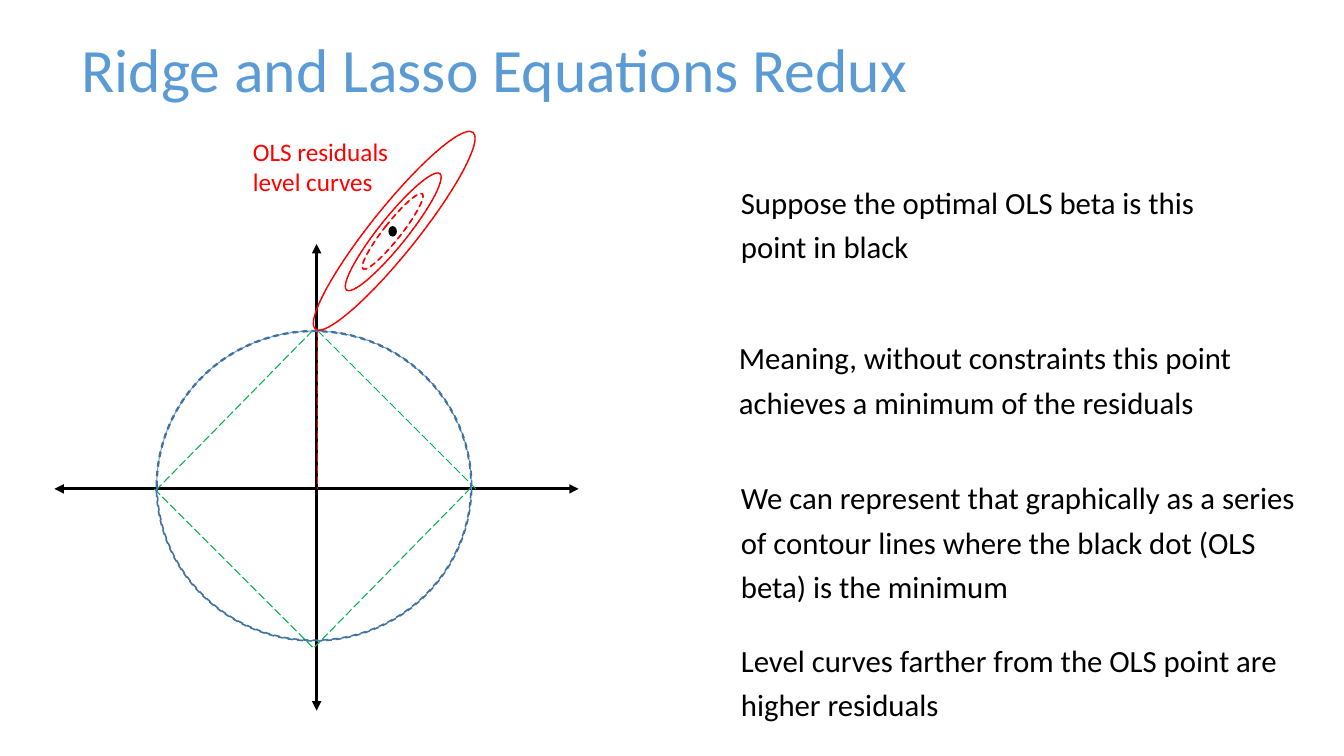
from lxml import etree
from pptx import Presentation
from pptx.dml.color import RGBColor
from pptx.enum.dml import MSO_LINE
from pptx.enum.shapes import MSO_CONNECTOR, MSO_SHAPE
from pptx.enum.text import MSO_ANCHOR
from pptx.oxml.ns import qn
from pptx.util import Pt

PX = 9144  # 100 px to the inch
STRAIGHT = MSO_CONNECTOR.STRAIGHT
DONUT, ELLIPSE = MSO_SHAPE.DONUT, MSO_SHAPE.OVAL
DASH, LONG_DASH = MSO_LINE.DASH, MSO_LINE.LONG_DASH
TOP, MIDDLE = MSO_ANCHOR.TOP, MSO_ANCHOR.MIDDLE
COLORS = {
    "title": "5B9BD5",
    "circle": "42719B",
    "lasso": "00B050",
    "residuals": "FF0000",
    "black": "000000",
}

deck = Presentation()
deck.slide_width, deck.slide_height = 1333 * PX, 750 * PX
page = deck.slides.add_slide(deck.slide_layouts[6])


def color(name):
    return RGBColor.from_string(COLORS[name])


def add_text(place, text, size, color_name, spacing, anchor=TOP):
    box = page.shapes.add_textbox(*[length * PX for length in place])
    frame = box.text_frame
    frame.word_wrap = True
    frame.vertical_anchor = anchor
    para = frame.paragraphs[0]
    para.line_spacing = spacing
    span = para.add_run()
    span.text = text
    span.font.name = "Calibri"
    span.font.size = Pt(size)
    span.font.color.rgb = color(color_name)


# Title
add_text((71, 11, 1078, 123), "Ridge and Lasso Equations Redux", 44, "title", 0.9, MIDDLE)

# Axes with arrowheads, then the dashed lines of the lasso diamond
lines = [
    ((314, 242, 314, 705), "black", 2.25, None),
    ((574, 485, 54, 485), "black", 2.25, None),
    ((315, 328, 472, 485), "lasso", 0.75, LONG_DASH),
    ((315, 326, 315, 485), "residuals", 0.75, LONG_DASH),
    ((153, 485, 310, 642), "lasso", 0.75, LONG_DASH),
    ((310, 328, 155, 486), "lasso", 0.75, LONG_DASH),
    ((467, 484, 312, 642), "lasso", 0.75, LONG_DASH),
]
for ends, color_name, width, dash in lines:
    connector = page.shapes.add_connector(STRAIGHT, *[length * PX for length in ends])
    connector.line.color.rgb = color(color_name)
    connector.line.width = Pt(width)
    etree.SubElement(connector._element.spPr, qn("a:effectLst"))
    if dash:
        connector.line.dash_style = dash
    else:
        outline = connector.line._get_or_add_ln()
        for end in ("a:headEnd", "a:tailEnd"):
            etree.SubElement(outline, qn(end), type="triangle")

# Ridge circle, optimal point and residual level curves
curves = [
    (DONUT, (155, 328, 313, 308), 0, 0.003, "title", "circle"),
    (ELLIPSE, (386, 225, 7, 9), 0, None, "black", "black"),
    (DONUT, (381, 182, 17, 95), 38.3, 0, "title", "residuals"),
    (DONUT, (376, 156, 28, 148), 38.7, 0, "title", "residuals"),
    (DONUT, (368, 104, 46, 250), 38.7, 0, "title", "residuals"),
]
for kind, place, rotation, thickness, fill, outline_color in curves:
    curve = page.shapes.add_shape(kind, *[length * PX for length in place])
    curve.shadow.inherit = False
    curve.rotation = rotation
    curve.fill.solid()
    curve.fill.fore_color.rgb = color(fill)
    curve.line.color.rgb = color(outline_color)
    curve.line.width = Pt(1)
    if kind == DONUT:
        curve.adjustments[0] = thickness
        curve.line.dash_style = DASH

# Label of the level curves
add_text((241, 130, 172, 71), "OLS residuals level curves", 18, "residuals", 1.0)

# Explanations on the right
explanations = [
    ((725, 170, 502, 117), "Suppose the optimal OLS beta is this point in black"),
    ((723, 324, 540, 117),
     "Meaning, without constraints this point achieves a minimum of the residuals"),
    ((725, 463, 578, 139),
     "We can represent that graphically as a series of contour lines "
     "where the black dot (OLS beta) is the minimum"),
    ((725, 624, 578, 126), "Level curves farther from the OLS point are higher residuals"),
]
for place, text in explanations:
    add_text(place, text, 22, "black", 1.2)

deck.save("out.pptx")
